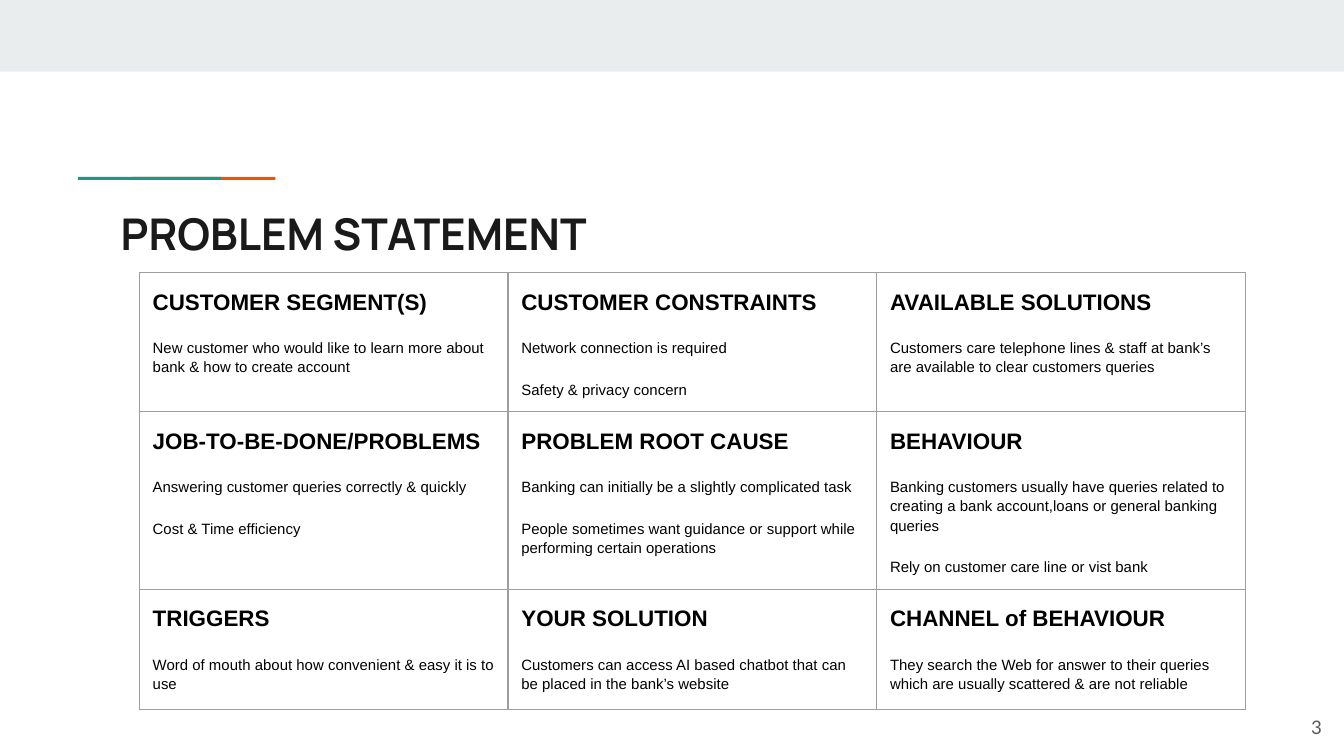
from lxml import etree
from pptx import Presentation
from pptx.dml.color import RGBColor
from pptx.enum import shapes, text
from pptx.oxml import ns
from pptx.util import Pt

MIST = RGBColor(0xE9, 0xED, 0xEE)
TEAL = RGBColor(0x1A, 0x99, 0x88)
RUST = RGBColor(0xEB, 0x56, 0x00)
INK = RGBColor(0x1A, 0x1A, 0x1A)
BLACK = RGBColor(0, 0, 0)
GREY = RGBColor(0x59, 0x59, 0x59)
EDGE = RGBColor(0x9E, 0x9E, 0x9E)

GRID = [
    [
        ["CUSTOMER SEGMENT(S)",
         "New customer who would like to learn more about bank & how to create account"],
        ["CUSTOMER CONSTRAINTS", "Network connection is required",
         "Safety & privacy concern"],
        ["AVAILABLE SOLUTIONS",
         "Customers care telephone lines & staff at bank’s are available to clear customers queries"],
    ],
    [
        ["JOB-TO-BE-DONE/PROBLEMS", "Answering customer queries correctly & quickly",
         "Cost & Time efficiency"],
        ["PROBLEM ROOT CAUSE", "Banking can initially be a slightly complicated task",
         "People sometimes want guidance or support while performing certain operations"],
        ["BEHAVIOUR",
         "Banking customers usually have queries related to creating a bank account,loans or general banking queries",
         "Rely on customer care line or vist bank"],
    ],
    [
        ["TRIGGERS", "Word of mouth about how convenient & easy it is to use"],
        ["YOUR SOLUTION",
         "Customers can access AI based chatbot that can be placed in the bank’s website"],
        ["CHANNEL of BEHAVIOUR",
         "They search the Web for answer to their queries which are usually scattered & are not reliable"],
    ],
]


class Deck:
    pad = Pt(7.2)
    foot = Pt(2)
    face = "Arial"
    head = 12
    body = 8
    gap = Pt(12)
    lead = 1.15
    rule = Pt(0.75)

    def __init__(self, slide):
        self.slide = slide

    def bar(self, x, y, w, h, color):
        bar = self.slide.shapes.add_shape(
            shapes.MSO_SHAPE.RECTANGLE, Pt(x), Pt(y), Pt(w), Pt(h))
        bar.shadow.inherit = False
        bar.fill.solid()
        bar.fill.fore_color.rgb = color
        bar.line.fill.background()

    def font(self, para, face, size, color, bold=False):
        for run in para.runs:
            run.font.name = face
            run.font.size = Pt(size)
            run.font.color.rgb = color
            run.font.bold = bold

    def inset(self, item, foot):
        item.margin_left = item.margin_right = item.margin_top = self.pad
        item.margin_bottom = foot

    def label(self, x, y, w, h, words, face, size, color, bold=False,
              align=text.PP_ALIGN.LEFT, anchor=text.MSO_ANCHOR.TOP):
        frame = self.slide.shapes.add_textbox(Pt(x), Pt(y), Pt(w), Pt(h)).text_frame
        frame.word_wrap = True
        frame.vertical_anchor = anchor
        self.inset(frame, self.pad)
        frame.text = words
        para = frame.paragraphs[0]
        para.alignment = align
        self.font(para, face, size, color, bold)

    def border(self, cell):
        props = cell._tc.get_or_add_tcPr()
        for spot, side in enumerate(("a:lnL", "a:lnR", "a:lnT", "a:lnB")):
            line = etree.Element(ns.qn(side), w=str(self.rule))
            fill = etree.SubElement(line, ns.qn("a:solidFill"))
            etree.SubElement(fill, ns.qn("a:srgbClr"), val=str(EDGE))
            props.insert(spot, line)

    def cell(self, cell, lines):
        self.inset(cell, self.foot)
        cell.fill.background()
        self.border(cell)
        frame = cell.text_frame
        frame.text = "\n".join(lines)
        for spot, para in enumerate(frame.paragraphs):
            top = spot == 0
            para.line_spacing = self.lead
            para.space_before = self.gap
            self.font(para, self.face, self.head if top else self.body, BLACK, top)
        frame.paragraphs[-1].space_after = self.gap

    def table(self, x, y, width, highs, grid):
        cols = len(grid[0])
        table = self.slide.shapes.add_table(
            len(grid), cols, Pt(x), Pt(y), Pt(width * cols), Pt(sum(highs))).table
        table.first_row = table.horz_banding = False
        for col in table.columns:
            col.width = Pt(width)
        for row, high, cells in zip(table.rows, highs, grid):
            row.height = Pt(high)
            for cell, lines in zip(row.cells, cells):
                self.cell(cell, lines)


def main():
    show = Presentation()
    show.slide_width, show.slide_height = Pt(720), Pt(405)
    deck = Deck(show.slides.add_slide(show.slide_layouts[6]))
    deck.bar(0, 0, 720, 38.4, MIST)
    for x, color in ((71, RUST), (41.8, TEAL)):
        deck.bar(x, 94.8, 76.6, 1.6, color)
    deck.label(57.6, 103.7, 605.5, 42.5, "PROBLEM STATEMENT", "Manrope", 23.4, INK, True)
    deck.table(74.6, 146, 197.5, [74.5, 95.2, 64.4], GRID)
    deck.label(672, 374, 43.2, 31, "3", "Lato", 10, GREY,
               align=text.PP_ALIGN.RIGHT, anchor=text.MSO_ANCHOR.MIDDLE)
    show.save("out.pptx")


if __name__ == "__main__":
    main()
